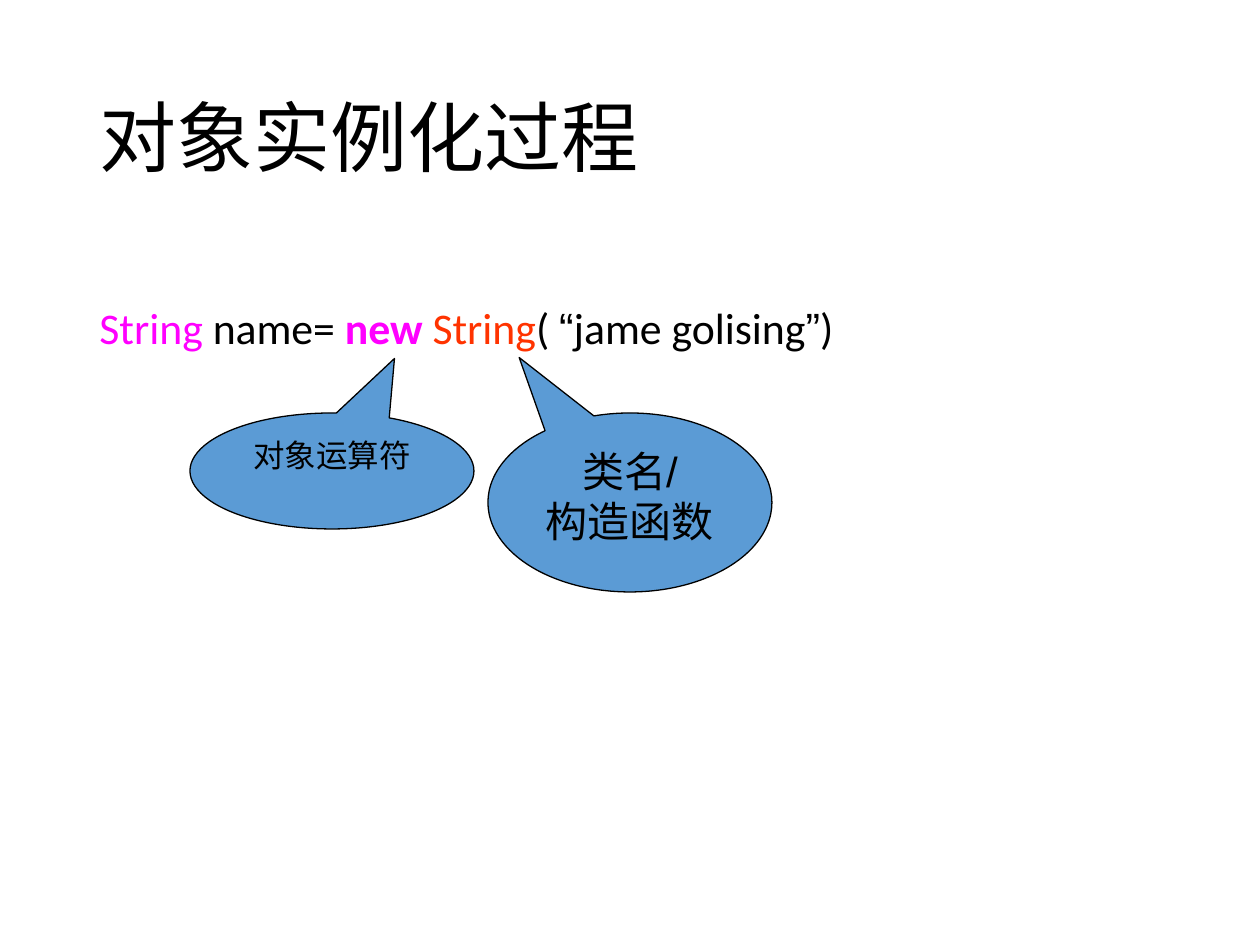
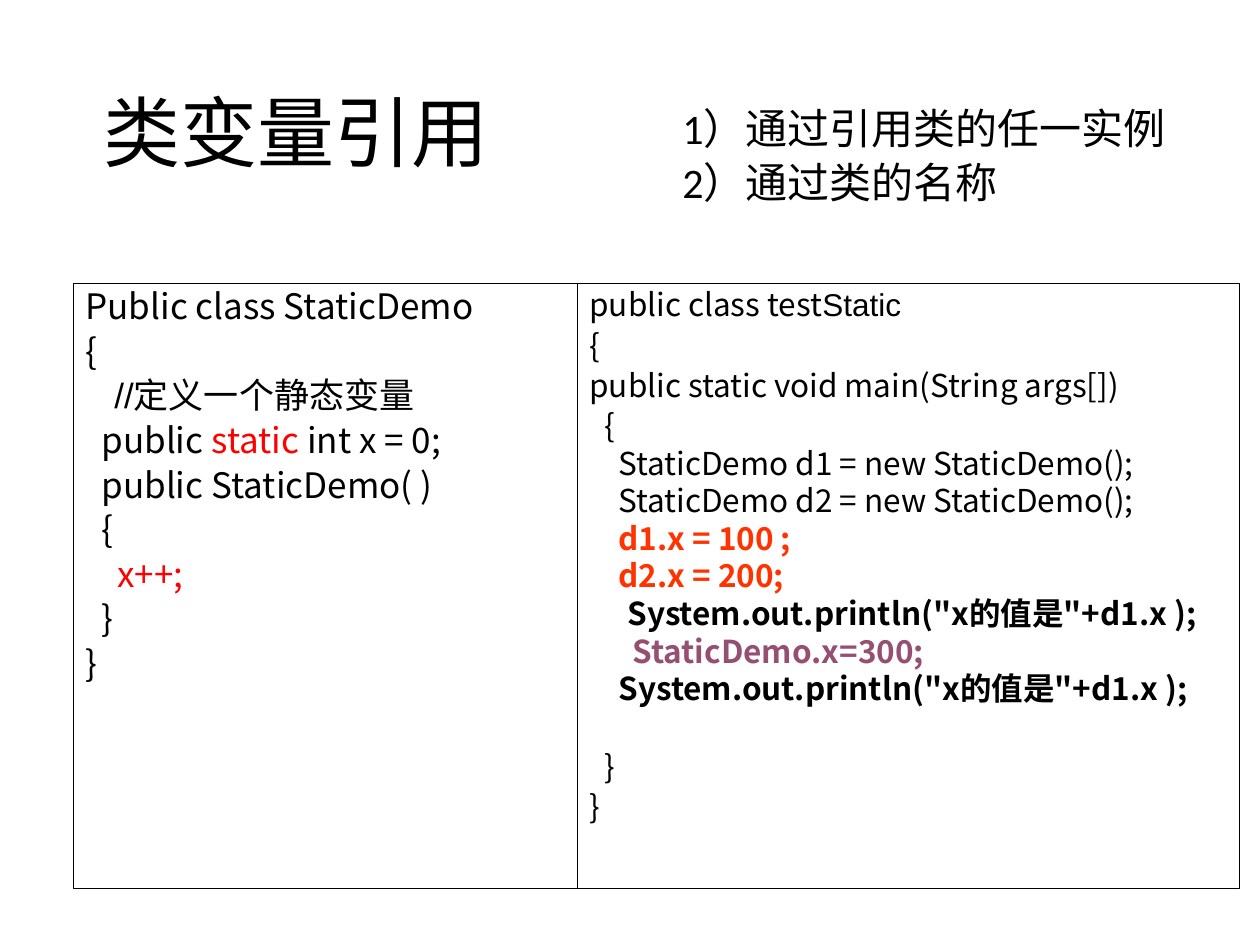
from dataclasses import dataclass

from lxml import etree
from pptx import Presentation, util as u
from pptx.dml.color import RGBColor
from pptx.enum import shapes, text
from pptx.oxml.ns import qn

PX = 914400 / 126  # EMU in one px


def px(length):
    return u.Emu(round(length * PX))


@dataclass(frozen=True)
class Theme:
    # Colours
    ink: str = "000000"
    callout: str = "5B9BD5"
    keyword: str = "FF00FF"
    accent: str = "FF3300"
    static: str = "FF0000"
    by_class: str = "954F72"
    # Fonts
    body_font: str = "Calibri"
    label_font: str = "Arial"
    code_font: str = "Noto Sans CJK SC"
    # Type sizes
    title: int = 44
    statement: int = 25
    large: int = 24
    code: int = 20
    small: int = 18


THEME = Theme()


@dataclass
class Run:
    text: str
    color: str = THEME.ink
    bold: bool = False
    font: str = ""


@dataclass
class Line:
    runs: list
    indent: int = 0
    hang: int = 0
    spacing: float = 1.0
    before: float = 0
    align: text.PP_ALIGN = text.PP_ALIGN.LEFT


class Deck:
    def __init__(self, theme):
        self.theme = theme
        self.prs = Presentation()
        self.prs.slide_width, self.prs.slide_height = px(1260), px(945)
        self.slide = None

    def new_slide(self, title, box):
        self.slide = self.prs.slides.add_slide(self.prs.slide_layouts[5])
        heading = self.slide.shapes.title
        heading.left, heading.top, heading.width, heading.height = map(px, box)
        self.fill_text(heading, [Line([Run(title)], spacing=0.9)], self.theme.title,
                       self.theme.body_font, text.MSO_ANCHOR.MIDDLE)

    def fill_text(self, shape, lines, size, font, anchor=text.MSO_ANCHOR.TOP):
        frame = shape.text_frame
        frame.word_wrap = True
        frame.auto_size = text.MSO_AUTO_SIZE.NONE
        frame.vertical_anchor = anchor
        for number, line in enumerate(lines):
            paragraph = frame.add_paragraph() if number else frame.paragraphs[0]
            paragraph.alignment = line.align
            paragraph.line_spacing = line.spacing
            paragraph.space_before = u.Pt(line.before)
            properties = paragraph._p.get_or_add_pPr()
            properties.set("marL", str(px(line.indent)))
            properties.set("indent", str(px(-line.hang)))
            for part in line.runs:
                run = paragraph.add_run()
                run.text = part.text
                self.format_run(run, part, size, font)

    def format_run(self, run, part, size, font):
        run.font.size = u.Pt(size)
        run.font.bold = part.bold
        run.font.color.rgb = RGBColor.from_string(part.color)
        run.font.name = part.font or font
        east_asian = etree.SubElement(run._r.get_or_add_rPr(), qn("a:ea"))
        east_asian.set("typeface", self.theme.code_font)

    def text_box(self, box, lines, size):
        self.fill_text(self.slide.shapes.add_textbox(*map(px, box)), lines, size,
                       self.theme.body_font)

    def outlined(self, kind, box, line_width):
        shape = self.slide.shapes.add_shape(kind, *map(px, box))
        shape.shadow.inherit = False
        shape.line.color.rgb = RGBColor.from_string(self.theme.ink)
        shape.line.width = u.Pt(line_width)
        return shape

    def callout(self, box, tip, labels, size):
        bubble = self.outlined(shapes.MSO_SHAPE.OVAL_CALLOUT, box, 0.75)
        bubble.fill.solid()
        bubble.fill.fore_color.rgb = RGBColor.from_string(self.theme.callout)
        bubble.adjustments[0], bubble.adjustments[1] = tip
        lines = [Line([Run(label)], align=text.PP_ALIGN.CENTER) for label in labels]
        self.fill_text(bubble, lines, size, self.theme.label_font)

    def code_panel(self, box, lines, size):
        panel = self.outlined(shapes.MSO_SHAPE.RECTANGLE, box, 0.25)
        panel.fill.background()
        self.fill_text(panel, lines, size, self.theme.code_font)


def code(size, indent, *runs, tight=False, gap=0):
    """A line of code; tight lines have no space above them."""
    height = 1.195 * size
    return Line(list(runs), indent,
                spacing=u.Pt(round(height if tight else 0.9 * height, 1)),
                before=gap if tight else gap + 0.2 * size)


def instantiation_slide(deck):
    t = deck.theme
    deck.new_slide("对象实例化过程", (87, 50, 1086, 183))

    # Statement
    statement = [
        Run("String", t.keyword), Run(" name= "), Run("new ", t.keyword, True),
        Run("String", t.accent), Run("( "), Run("“", font=t.label_font),
        Run("jame golising"), Run("”", font=t.label_font), Run(")"),
    ]
    deck.text_box((87, 301, 927, 393),
                  [Line(statement, 32, 32, 0.9, 10)], t.statement)

    # Explanations of its parts
    deck.callout((488, 413, 284, 179), (-0.39, -0.81), ["类名/", "构造函数"], t.large)
    deck.callout((190, 413, 284, 116), (0.22, -0.97), ["对象运算符"], t.small)


def class_variable_slide(deck):
    t = deck.theme
    deck.new_slide("类变量引用", (91, 84, 1086, 106))

    # Two ways of access
    ways = ["1）通过引用类的任一实例", "2）通过类的名称"]
    deck.text_box((607, 102, 606, 142),
                  [Line([Run(way)], 95, 32, 0.9, 5) for way in ways], t.large)

    # Class with the static variable
    size = t.code
    static_demo = [
        code(size, 0, Run("Public class StaticDemo")),
        code(size, 0, Run("{")),
        code(size, 29, Run("//定义一个静态变量", font=t.label_font)),
        code(size, 16, Run("public "), Run("static", t.static), Run(" int x = 0;")),
        code(size, 16, Run("public StaticDemo( )")),
        code(size, 16, Run("{")),
        code(size, 32, Run("x++;", t.static)),
        code(size, 16, Run("}")),
        code(size, 0, Run("}")),
    ]
    deck.code_panel((73, 283, 504, 605), static_demo, size)

    # Class that uses it
    size = t.small
    print_x = 'System.out.println("x的值是"+d1.x );'
    body = [
        (29, Run("StaticDemo d1 = new StaticDemo();")),
        (29, Run("StaticDemo d2 = new StaticDemo();")),
        (29, Run("d1.x = 100 ;", t.accent, True)),
        (29, Run("d2.x = 200;", t.accent, True)),
        (38, Run(print_x, bold=True)),
        (43, Run("StaticDemo.x=300;", t.by_class, True)),
        (29, Run(print_x, bold=True)),
    ]
    test_static = [
        code(size, 0, Run("public class test"), Run("Static", font=t.label_font)),
        code(size, 0, Run("{")),
        code(size, 0, Run("public static void main(String args[])")),
        code(size, 15, Run("{")),
        *(code(size, indent, run, tight=True) for indent, run in body),
        code(size, 15, Run("}"), gap=21.5),
        code(size, 0, Run("}")),
    ]
    deck.code_panel((577, 283, 662, 605), test_static, size)


def main():
    deck = Deck(THEME)
    instantiation_slide(deck)
    class_variable_slide(deck)
    deck.prs.save("out.pptx")


if __name__ == "__main__":
    main()
